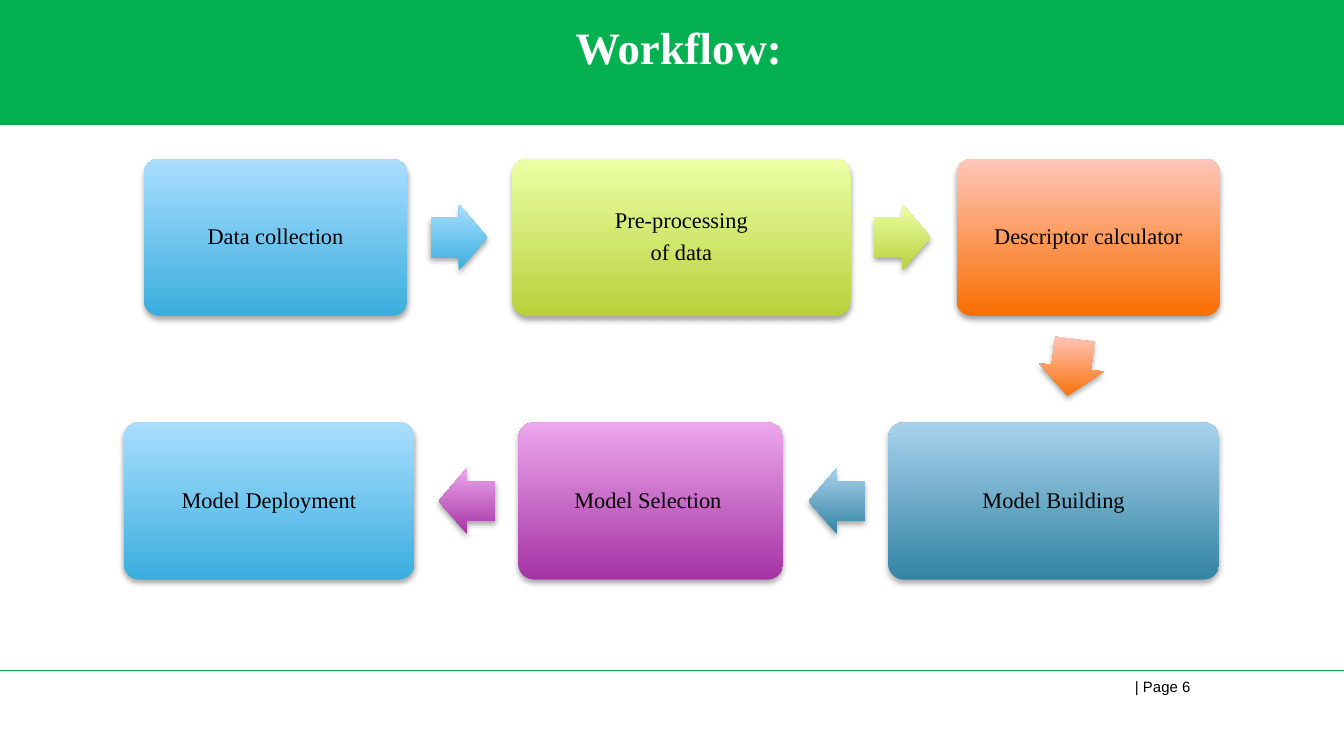
from lxml import etree
from pptx import Presentation
from pptx import util as u
from pptx.dml.color import RGBColor
from pptx.enum import shapes, text
from pptx.oxml import ns

COLORS = {"green": "05B050", "white": "FFFFFF", "black": "000000"}
# Gradients run from the bottom colour to the top colour
GRADIENTS = {
    "blue": ("3AAEDE", "AADEFF"),
    "lime": ("B9D03C", "ECFFA5"),
    "orange": ("FA6E00", "FFC6BA"),
    "teal": ("3384A4", "A8D2EC"),
    "purple": ("A533A5", "ECA7EC"),
}
SERIF, SANS = "Times New Roman", "Arial"
STEP_H = 2.97
ARROW_W, ARROW_H, ARROW_GAP = 1.07, 1.24, 0.44


class WorkflowSlide:
    def __init__(self, slide):
        self.shapes = slide.shapes

    def rgb(self, name):
        return RGBColor.from_string(COLORS[name])

    def add_lines(self, frame, lines, size, font, color="black", bold=False,
                  align=text.PP_ALIGN.CENTER, inset=0.0):
        frame.word_wrap = True
        frame.margin_left = frame.margin_right = u.Cm(inset)
        frame.margin_top = frame.margin_bottom = u.Cm(inset)
        for i, line in enumerate(lines):
            paragraph = frame.add_paragraph() if i else frame.paragraphs[0]
            paragraph.alignment = align
            run = paragraph.add_run()
            run.text = line
            run.font.size, run.font.name, run.font.bold = u.Pt(size), font, bold
            run.font.color.rgb = self.rgb(color)

    def label(self, box, line, **style):
        frame = self.shapes.add_textbox(*map(u.Cm, box)).text_frame
        self.add_lines(frame, [line], **style)

    def band(self, box, color):
        band = self.shapes.add_shape(shapes.MSO_SHAPE.RECTANGLE, *map(u.Cm, box))
        band.shadow.inherit = False
        band.fill.solid()
        band.fill.fore_color.rgb = self.rgb(color)
        band.line.fill.background()

    def rule(self, y, width, color):
        rule = self.shapes.add_connector(
            shapes.MSO_CONNECTOR.STRAIGHT, 0, u.Cm(y), u.Cm(width), u.Cm(y))
        rule.line.color.rgb = self.rgb(color)
        rule.line.width = u.Pt(0.75)
        etree.SubElement(rule.element.spPr, ns.qn("a:effectLst"))

    def glossy(self, preset, box, gradient, adjustments):
        """Preset shape with an upright gradient and a soft shadow below."""
        shape = self.shapes.add_shape(preset, *map(u.Cm, box))
        for i, value in enumerate(adjustments):
            shape.adjustments[i] = value
        shape.fill.gradient()
        shape.fill.gradient_angle = 90
        for stop, color in zip(shape.fill.gradient_stops, GRADIENTS[gradient]):
            stop.color.rgb = RGBColor.from_string(color)
        shape.line.fill.background()
        shape.shadow.inherit = False
        properties = shape.element.spPr
        properties.find(ns.qn("a:gradFill")).set("rotWithShape", "0")
        shadow = etree.SubElement(
            properties.find(ns.qn("a:effectLst")), ns.qn("a:outerShdw"),
            blurRad=str(u.Pt(3.1)), dist=str(u.Pt(1.8)), dir="5400000",
            rotWithShape="0")
        shade = etree.SubElement(shadow, ns.qn("a:srgbClr"), val=COLORS["black"])
        etree.SubElement(shade, ns.qn("a:alpha"), val="35000")
        return shape

    def step(self, x, y, width, lines, gradient):
        step = self.glossy(shapes.MSO_SHAPE.ROUNDED_RECTANGLE,
                           (x, y, width, STEP_H), gradient, [0.1])
        frame = step.text_frame
        frame.vertical_anchor = text.MSO_ANCHOR.MIDDLE
        self.add_lines(frame, lines, 12, SERIF, inset=0.13)
        for paragraph in frame.paragraphs:
            paragraph.line_spacing = 0.9
            paragraph.space_after = u.Pt(4.2)

    def arrow(self, x, y, gradient, rotation):
        arrow = self.glossy(shapes.MSO_SHAPE.RIGHT_ARROW,
                            (x, y, ARROW_W, ARROW_H), gradient, [0.6, 0.5])
        arrow.rotation = rotation


def main():
    deck = Presentation()
    deck.slide_width, deck.slide_height = u.Cm(25.4), u.Cm(14.28)
    page = WorkflowSlide(deck.slides.add_slide(deck.slide_layouts[6]))

    # Footer and header
    page.rule(12.67, 25.4, "green")
    page.label((4.34, 12.8, 18.16, 0.69), "| Page 6", size=8, font=SANS,
               align=text.PP_ALIGN.RIGHT)
    page.band((0, 0, 25.4, 2.36), "green")
    page.label((1.19, 0.38, 23.27, 0.97), "Workflow:", size=24, font=SERIF,
               color="white", bold=True)

    # Steps in reading order: left, top, width, lines, gradient, way onward
    upper, lower = 3.0, 7.98
    steps = [
        (2.72, upper, 4.98, ["Data collection"], "blue", "right"),
        (9.68, upper, 6.4, ["Pre-processing", "of data"], "lime", "right"),
        (18.08, upper, 4.98, ["Descriptor calculator"], "orange", "down"),
        (16.79, lower, 6.25, ["Model Building"], "teal", "left"),
        (9.8, lower, 5.0, ["Model Selection "], "purple", "left"),
        (2.34, lower, 5.49, ["Model Deployment"], "blue", None),
    ]
    for x, y, width, lines, gradient, way in steps:
        page.step(x, y, width, lines, gradient)
        middle = y + (STEP_H - ARROW_H) / 2
        if way == "right":
            page.arrow(x + width + ARROW_GAP, middle, gradient, 0)
        elif way == "left":
            page.arrow(x - ARROW_GAP - ARROW_W, middle, gradient, 180)
        elif way == "down":
            page.arrow(19.71, 6.32, gradient, 97.3)

    deck.save("out.pptx")


if __name__ == "__main__":
    main()
